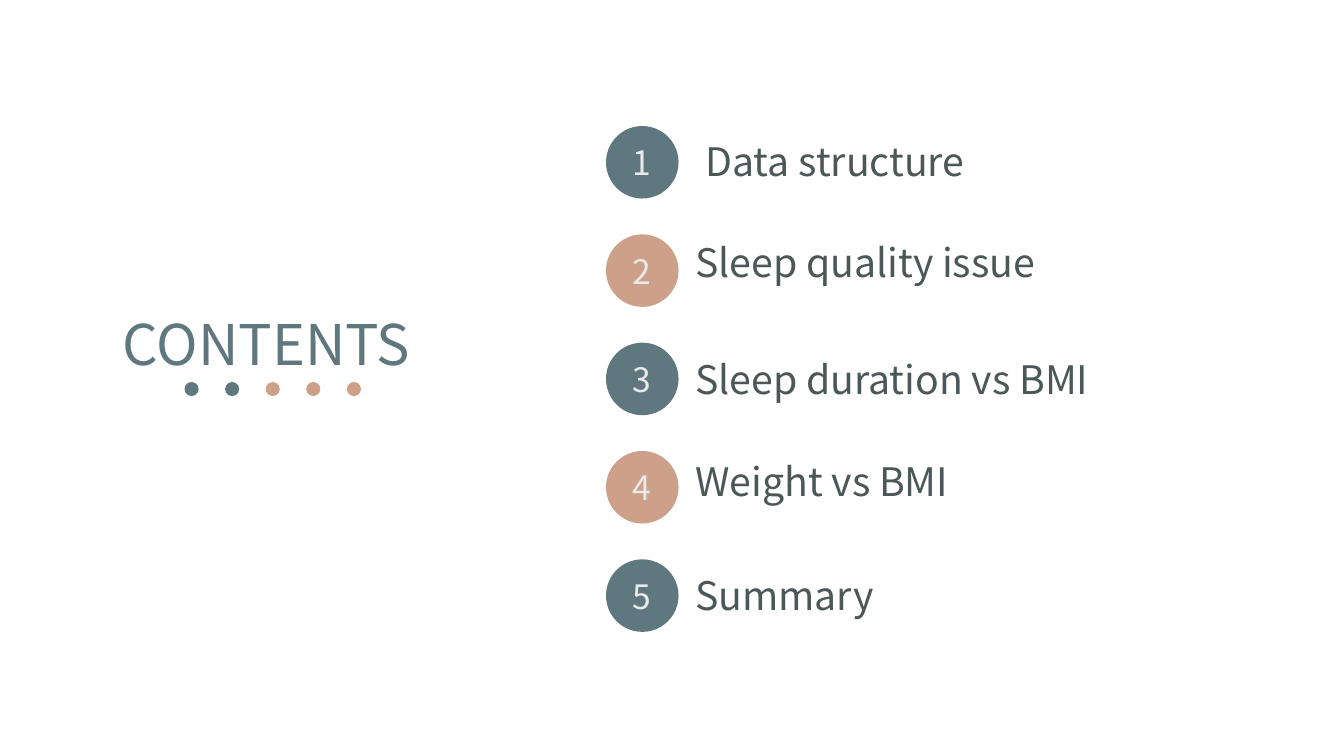
import pptx
import pptx.dml.color
import pptx.enum.shapes
import pptx.enum.text
import pptx.util

SLATE, CLAY, INK, PALE = "5F777E", "CDA189", "4C5758", "EAEAEA"


def colour(hex_code):
    return pptx.dml.color.RGBColor.from_string(hex_code)


class ContentsSlide:
    """Places elements by percentages of the slide's width and height."""

    font = "Noto Sans CJK SC"

    def __init__(self, deck):
        self.width, self.height = deck.slide_width, deck.slide_height
        self.slide = deck.slides.add_slide(deck.slide_layouts[6])

    def across(self, percent):
        return round(self.width * percent / 100)

    def down(self, percent):
        return round(self.height * percent / 100)

    def style(self, paragraph, size, hex_code):
        paragraph.font.name = self.font
        paragraph.font.size = pptx.util.Pt(size)
        paragraph.font.color.rgb = colour(hex_code)

    def text(self, words, left, top, width, height, size, hex_code):
        box = self.slide.shapes.add_textbox(
            self.across(left), self.down(top), self.across(width), self.down(height))
        frame = box.text_frame
        frame.word_wrap = True
        frame.auto_size = pptx.enum.text.MSO_AUTO_SIZE.SHAPE_TO_FIT_TEXT
        frame.text = words
        self.style(frame.paragraphs[0], size, hex_code)

    def circle(self, left, top, diameter, fill):
        side = self.across(diameter)
        disc = self.slide.shapes.add_shape(
            pptx.enum.shapes.MSO_SHAPE.OVAL, self.across(left), self.down(top), side, side)
        disc.shadow.inherit = False
        disc.fill.solid()
        disc.fill.fore_color.rgb = colour(fill)
        disc.line.fill.background()
        return disc

    def badge(self, number, left, top, diameter, fill):
        frame = self.circle(left, top, diameter, fill).text_frame
        frame.vertical_anchor = pptx.enum.text.MSO_ANCHOR.MIDDLE
        frame.text = str(number)
        frame.paragraphs[0].alignment = pptx.enum.text.PP_ALIGN.CENTER
        self.style(frame.paragraphs[0], 24, PALE)


def main():
    deck = pptx.Presentation()
    deck.slide_width = pptx.util.Inches(13.33)
    deck.slide_height = pptx.util.Inches(7.5)
    contents = ContentsSlide(deck)

    # Heading with its row of dots
    contents.text("CONTENTS", 8.4, 40.27, 24.6, 10.27, 40, SLATE)
    for column, fill in enumerate([SLATE] * 2 + [CLAY] * 3):
        contents.circle(13.73 + 3.02 * column, 50.53, 1.05, fill)

    # Numbered topics: words, left, top, width, height
    topics = [
        ("Data structure", 51.76, 17.47, 25.8, 7.6),
        ("Sleep quality issue", 51, 30.93, 29.7, 12),
        ("Sleep duration vs BMI", 51, 46.4, 35.93, 7.6),
        ("Weight vs BMI", 51, 59.87, 25.8, 7.6),
        ("Summary", 51, 74.93, 31.43, 7.6),
    ]
    for row, (topic, *place) in enumerate(topics):
        fill = CLAY if row % 2 else SLATE
        contents.badge(row + 1, 45.09, 16.67 + 14.33 * row, 5.4, fill)
        contents.text(topic, *place, 28, INK)

    deck.save("out.pptx")


if __name__ == "__main__":
    main()
